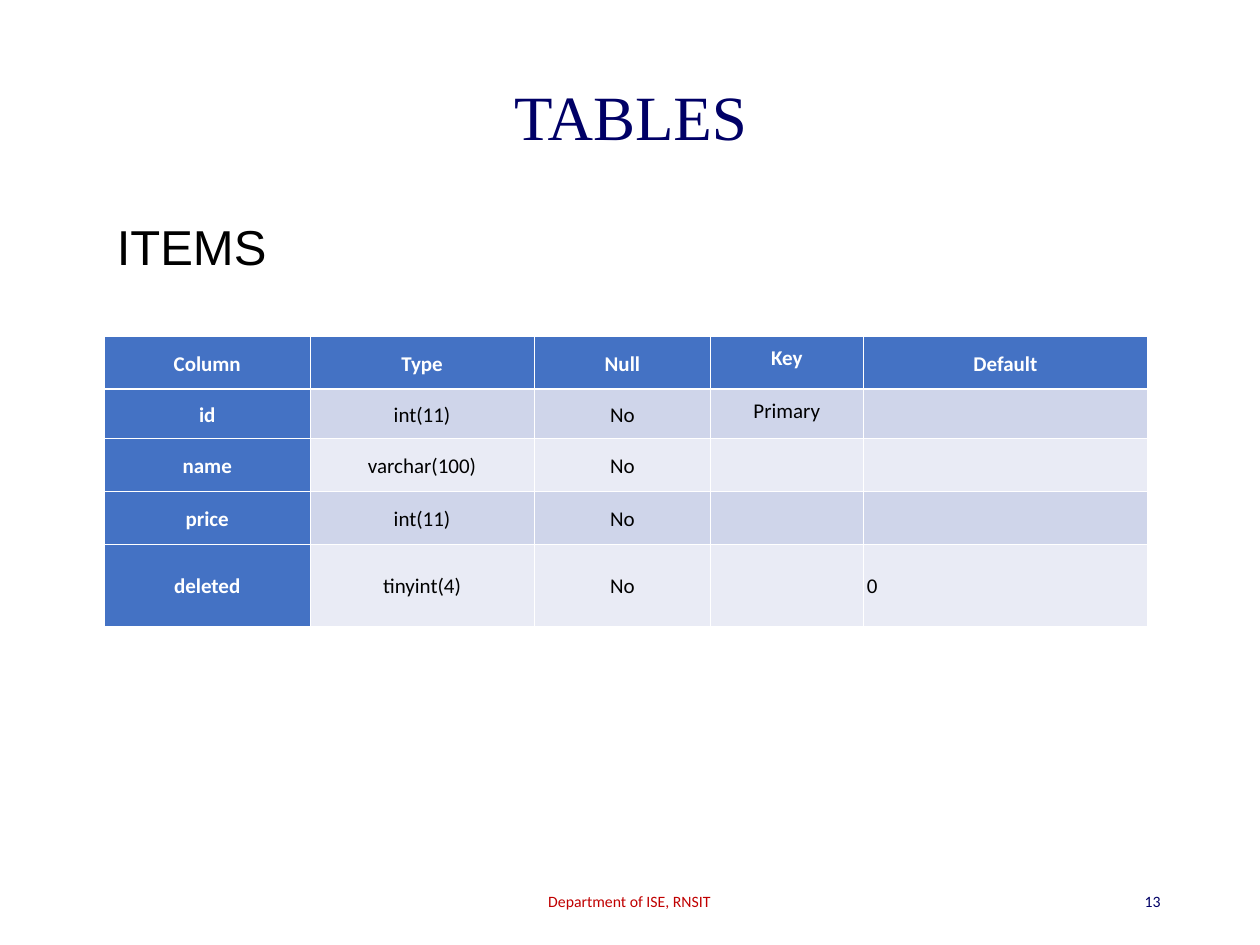
from dataclasses import dataclass

from lxml.etree import SubElement
from pptx import Presentation
from pptx.dml.color import RGBColor as Color
from pptx.enum.text import MSO_ANCHOR as Anchor, MSO_AUTO_SIZE as AutoSize, PP_ALIGN as Align
from pptx.oxml.ns import qn
from pptx.util import Inches, Pt


@dataclass(frozen=True)
class Theme:
    navy: str = "000066"
    red: str = "C00000"
    black: str = "000000"
    white: str = "FFFFFF"
    header: str = "4472C4"
    bands: tuple = ("CFD5EA", "E9EBF5")
    title_font: str = "Times New Roman"
    heading_font: str = "Arial"
    body_font: str = "Calibri"
    title_size: float = 36
    heading_size: float = 28
    table_size: float = 12
    footer_size: float = 9
    thin_line: float = 0.45
    thick_line: float = 1.47


class SlideBuilder:
    def __init__(self, slide, theme):
        self.slide = slide
        self.theme = theme

    def style(self, paragraph, font, size, color, align, bold=False, spacing=None):
        paragraph.alignment = align
        paragraph.line_spacing = spacing
        paragraph.font.name = font
        paragraph.font.size = Pt(size)
        paragraph.font.bold = bold
        paragraph.font.color.rgb = Color.from_string(color)

    def text(self, content, box, font, size, color, align=Align.LEFT,
             anchor=Anchor.MIDDLE, spacing=None, grow=False):
        shape = self.slide.shapes.add_textbox(*map(Inches, box))
        frame = shape.text_frame
        frame.word_wrap = True
        frame.vertical_anchor = anchor
        frame.auto_size = AutoSize.SHAPE_TO_FIT_TEXT if grow else AutoSize.NONE
        frame.text = content
        self.style(frame.paragraphs[0], font, size, color, align, spacing=spacing)

    def border(self, cell, side, width):
        properties = cell._tc.get_or_add_tcPr()
        line = SubElement(properties, qn(f"a:ln{side}"), w=str(Pt(width)))
        fill = SubElement(line, qn("a:solidFill"))
        SubElement(fill, qn("a:srgbClr"), val=self.theme.white)

    def cell(self, cell, content, row, column, align, anchor):
        theme = self.theme
        is_header = row == 0 or column == 0
        thick_side = {0: "B", 1: "T"}.get(row)
        for side in "LRTB":
            self.border(cell, side, theme.thick_line if side == thick_side else theme.thin_line)
        cell.fill.solid()
        fill = theme.header if is_header else theme.bands[(row - 1) % 2]
        cell.fill.fore_color.rgb = Color.from_string(fill)
        cell.vertical_anchor = anchor
        cell.margin_left = cell.margin_right = Inches(0.03)
        cell.margin_top = cell.margin_bottom = Inches(0.05 if content else 0.02)
        if content:
            cell.text = content
            self.style(cell.text_frame.paragraphs[0], theme.body_font, theme.table_size,
                       theme.white if is_header else theme.black, align, is_header, 1.11)

    def table(self, rows, left, top, widths, heights, top_column):
        table = self.slide.shapes.add_table(
            len(heights), len(widths), Inches(left), Inches(top),
            Inches(sum(widths)), Inches(sum(heights))).table
        for column, width in zip(table.columns, widths):
            column.width = Inches(width)
        for row, height in zip(table.rows, heights):
            row.height = Inches(height)
        for row, values in enumerate(rows):
            for column, content in enumerate(values):
                align = Align.JUSTIFY if content == "0" else Align.CENTER
                anchor = Anchor.TOP if column == top_column else Anchor.MIDDLE
                self.cell(table.cell(row, column), content, row, column, align, anchor)


def main():
    presentation = Presentation()
    presentation.slide_width, presentation.slide_height = Inches(10), Inches(7.5)
    theme = Theme()
    builder = SlideBuilder(presentation.slides.add_slide(presentation.slide_layouts[6]), theme)

    builder.text("TABLES", (0.69, 0.4, 8.63, 1.1), theme.title_font, theme.title_size,
                 theme.navy, Align.CENTER, spacing=0.9)
    columns = [
        ("Column", "Type", "Null", "Key", "Default"),
        ("id", "int(11)", "No", "Primary", ""),
        ("name", "varchar(100)", "No", "", ""),
        ("price", "int(11)", "No", "", ""),
        ("deleted", "tinyint(4)", "No", "", "0"),
    ]
    builder.table(columns, 0.83, 2.67, (1.63, 1.78, 1.4, 1.21, 2.26),
                  (0.42, 0.39, 0.42, 0.42, 0.65), top_column=3)
    builder.text("Department of ISE, RNSIT", (3.31, 6.95, 3.37, 0.4), theme.body_font,
                 theme.footer_size, theme.red, Align.CENTER)
    builder.text("13", (7.06, 6.95, 2.25, 0.4), theme.body_font, theme.footer_size,
                 theme.navy, Align.RIGHT)
    builder.text("ITEMS", (0.83, 1.67, 1.5, 0.57), theme.heading_font, theme.heading_size,
                 theme.black, anchor=Anchor.TOP, grow=True)
    presentation.save("out.pptx")


if __name__ == "__main__":
    main()
